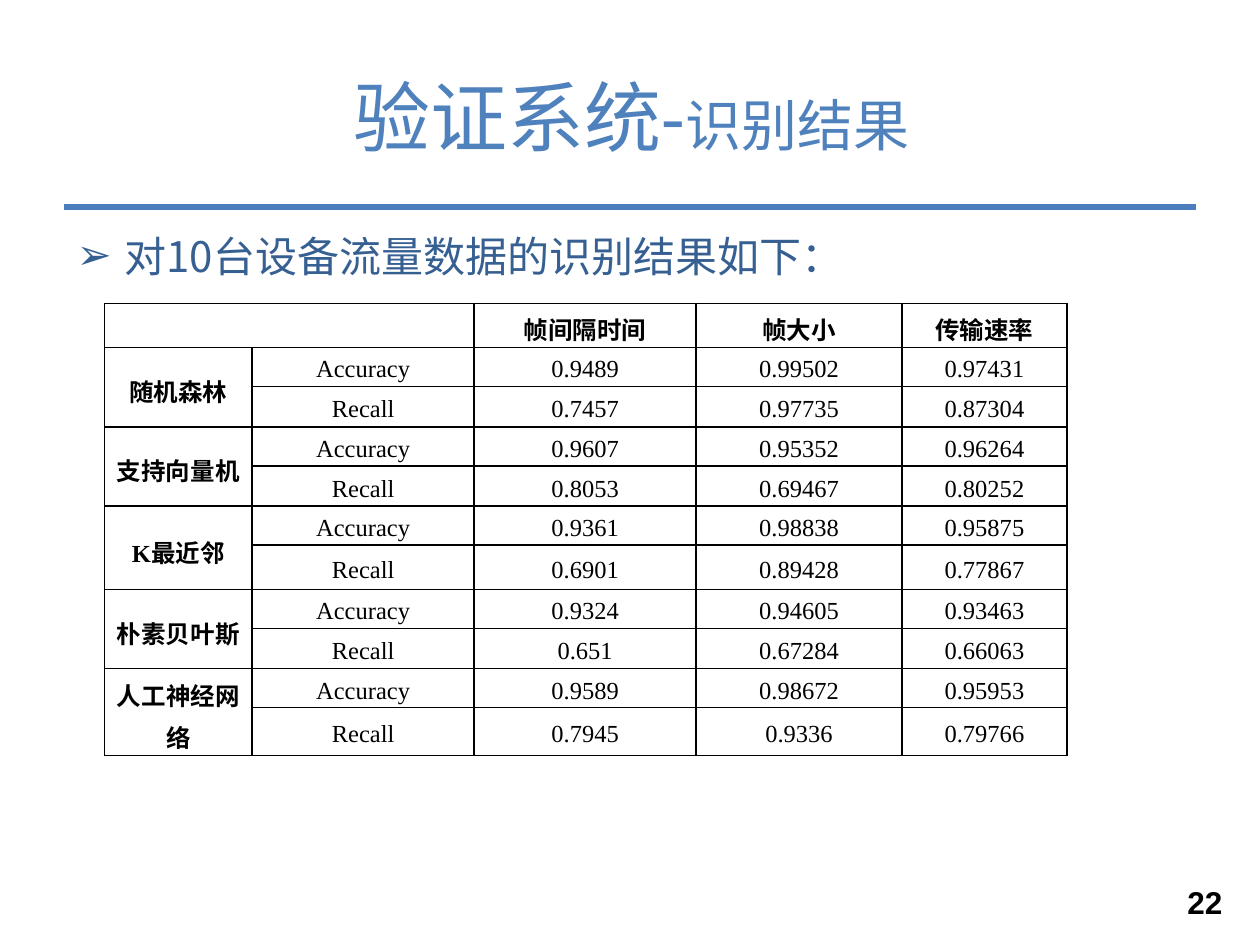
import dataclasses

import lxml.etree
import pptx
import pptx.dml.color
import pptx.enum.shapes
import pptx.enum.text
import pptx.oxml.ns
import pptx.util

Inches = pptx.util.Inches
Pt = pptx.util.Pt
Align = pptx.enum.text.PP_ALIGN
Anchor = pptx.enum.text.MSO_ANCHOR


@dataclasses.dataclass(frozen=True)
class Theme:
    """Colours, fonts and type sizes of the slide."""
    title: str = "4F81BD"
    rule: str = "4B7EBC"
    body: str = "376092"
    ink: str = "000000"
    title_font: str = "Calibri"
    body_font: str = "Noto Sans CJK SC"
    table_font: str = "Times New Roman"
    number_font: str = "Arial"
    title_size: int = 44
    subtitle_size: int = 32
    body_size: int = 24
    number_size: int = 18
    table_size: int = 14
    rule_width: int = 3
    border_width: int = 1


THEME = Theme()
SLIDE_SIZE = (10, 7.5)
HEADINGS = ["帧间隔时间", "帧大小", "传输速率"]
METRICS = ["Accuracy", "Recall"]
RESULTS = {
    "随机森林": [["0.9489", "0.99502", "0.97431"], ["0.7457", "0.97735", "0.87304"]],
    "支持向量机": [["0.9607", "0.95352", "0.96264"], ["0.8053", "0.69467", "0.80252"]],
    "K最近邻": [["0.9361", "0.98838", "0.95875"], ["0.6901", "0.89428", "0.77867"]],
    "朴素贝叶斯": [["0.9324", "0.94605", "0.93463"], ["0.651", "0.67284", "0.66063"]],
    "人工神经网络": [["0.9589", "0.98672", "0.95953"], ["0.7945", "0.9336", "0.79766"]],
}
COLUMN_WIDTHS = [1.17, 1.76, 1.76, 1.63, 1.31]
ROW_HEIGHTS = [0.35] + [0.31, 0.32] * 2 + [0.31, 0.35] + [0.31, 0.32] + [0.31, 0.38]


def add_child(parent, tag, **attributes):
    """Append a DrawingML element to a parent element."""
    return lxml.etree.SubElement(parent, pptx.oxml.ns.qn(tag), **attributes)


def write(paragraph, text, *, size, font, color, bold=False, align=None, spacing=None):
    """Add a formatted run to a paragraph."""
    run = paragraph.add_run()
    run.text = text
    run.font.size = Pt(size)
    run.font.name = font
    run.font.bold = bold
    run.font.color.rgb = pptx.dml.color.RGBColor.from_string(color)
    add_child(run.font._element, "a:ea", typeface=THEME.body_font)
    if align is not None:
        paragraph.alignment = align
    if spacing is not None:
        paragraph.line_spacing = spacing


def add_text_box(slide, box, anchor):
    """Add a wrapping text box and return its first paragraph."""
    frame = slide.shapes.add_textbox(*map(Inches, box)).text_frame
    frame.word_wrap = True
    frame.vertical_anchor = anchor
    return frame.paragraphs[0]


def add_title(slide, box):
    """Place the two-size title in its box."""
    paragraph = add_text_box(slide, box, Anchor.MIDDLE)
    for text, size in [("验证系统-", THEME.title_size), ("识别结果", THEME.subtitle_size)]:
        write(paragraph, text, size=size, font=THEME.title_font,
              color=THEME.title, align=Align.CENTER)


def add_rule(slide, box):
    """Draw the horizontal rule along the top of its box."""
    left, top, width, _ = box
    rule = slide.shapes.add_connector(
        pptx.enum.shapes.MSO_CONNECTOR.STRAIGHT,
        Inches(left), Inches(top), Inches(left + width), Inches(top))
    rule.line.color.rgb = pptx.dml.color.RGBColor.from_string(THEME.rule)
    rule.line.width = Pt(THEME.rule_width)
    add_child(rule._element.spPr, "a:effectLst")


def add_body(slide, box):
    """Place the bulleted introduction in its box."""
    paragraph = add_text_box(slide, box, Anchor.TOP)
    write(paragraph, "对10台设备流量数据的识别结果如下：", size=THEME.body_size,
          font=THEME.body_font, color=THEME.body)
    paragraph.space_before = Pt(0.2 * THEME.body_size)
    properties = paragraph._p.get_or_add_pPr()
    indent = Inches(0.38)
    properties.set("marL", str(indent))
    properties.set("indent", str(-indent))
    add_child(properties, "a:buFont", typeface="Arial")
    add_child(properties, "a:buChar", char="➢")


def style_cell(cell):
    """Clear a cell's fill and give it margins and four borders."""
    cell.fill.background()
    cell.vertical_anchor = Anchor.MIDDLE
    cell.margin_left = cell.margin_right = Inches(0.07)
    cell.margin_top = cell.margin_bottom = 0
    properties = cell._tc.get_or_add_tcPr()
    for position, side in enumerate("LRTB"):
        border = add_child(properties, f"a:ln{side}", w=str(Pt(THEME.border_width)))
        add_child(add_child(border, "a:solidFill"), "a:srgbClr", val=THEME.ink)
        properties.insert(position, border)


def add_results(slide, box):
    """Place the table of results, two rows for each classifier."""
    table = slide.shapes.add_table(
        len(ROW_HEIGHTS), len(COLUMN_WIDTHS), *map(Inches, box)).table
    table.first_row = table.horz_banding = False
    for column, share in zip(table.columns, COLUMN_WIDTHS):
        column.width = Inches(box[2] * share / sum(COLUMN_WIDTHS))
    for row, share in zip(table.rows, ROW_HEIGHTS):
        row.height = Inches(box[3] * share / sum(ROW_HEIGHTS))
    for cell in table.iter_cells():
        style_cell(cell)

    def fill_cell(row, column, text, bold=False):
        """Write centred text in one cell."""
        write(table.cell(row, column).text_frame.paragraphs[0], text,
              size=THEME.table_size, font=THEME.table_font, color=THEME.ink,
              bold=bold, align=Align.CENTER, spacing=1.2)

    table.cell(0, 0).merge(table.cell(0, 1))
    for column, heading in enumerate(HEADINGS, start=2):
        fill_cell(0, column, heading, bold=True)
    for index, (classifier, scores) in enumerate(RESULTS.items()):
        first = 1 + index * len(METRICS)
        table.cell(first, 0).merge(table.cell(first + len(METRICS) - 1, 0))
        fill_cell(first, 0, classifier, bold=True)
        for row, (metric, values) in enumerate(zip(METRICS, scores), start=first):
            for column, text in enumerate([metric, *values], start=1):
                fill_cell(row, column, text)


def add_page_number(slide, box):
    """Place the page number in its box."""
    paragraph = add_text_box(slide, box, Anchor.MIDDLE)
    write(paragraph, "22", size=THEME.number_size, font=THEME.number_font,
          color=THEME.ink, bold=True, align=Align.RIGHT)


def main():
    """Build the slide and save it."""
    presentation = pptx.Presentation()
    width, height = SLIDE_SIZE
    presentation.slide_width = Inches(width)
    presentation.slide_height = Inches(height)
    slide = presentation.slides.add_slide(presentation.slide_layouts[6])
    left, content_width = 0.051 * width, 0.9 * width
    add_rule(slide, (left, 0.219 * height, 0.898 * width, 0))
    add_title(slide, (left, 0.039 * height, content_width, height / 6))
    add_body(slide, (left, 0.237 * height, content_width, 0.66 * height))
    add_page_number(slide, (0.925 * width, 0.916 * height, 0.055 * width, 0.077 * height))
    add_results(slide, (0.083 * width, 0.321 * height, 0.764 * width, 0.479 * height))
    presentation.save("out.pptx")


if __name__ == "__main__":
    main()
